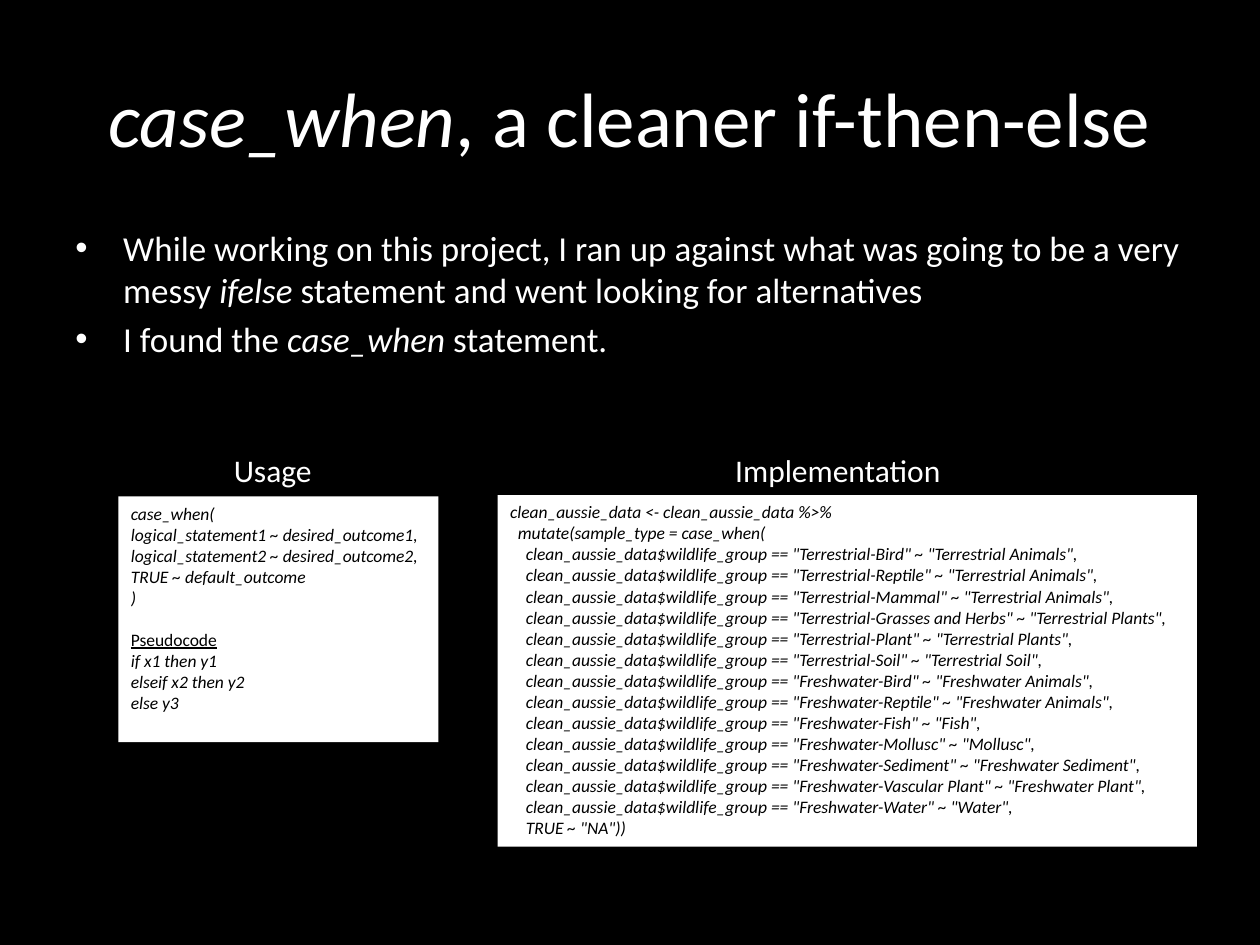
"""Build a slide introducing case_when as a cleaner if-then-else."""
from pptx import Presentation
from pptx.dml.color import RGBColor
from pptx.enum.shapes import MSO_SHAPE
from pptx.enum.text import MSO_ANCHOR, PP_ALIGN
from pptx.oxml.xmlchemy import OxmlElement
from pptx.util import Inches, Pt

BLACK = RGBColor(0, 0, 0)
WHITE = RGBColor(255, 255, 255)

PLAIN = {"name": "Calibri", "italic": False}
ITALIC = {"name": "Calibri", "italic": True}
UNDERLINED = {"name": "Calibri", "underline": True}

TITLE = [[("case_when", ITALIC), (", a cleaner if-then-else", PLAIN)]]
BULLETS = [
    [("While working on this project, I ran up against what was going to be a very messy ", PLAIN),
     ("ifelse", ITALIC),
     (" statement and went looking for alternatives", PLAIN)],
    [("I found the ", PLAIN), ("case_when", ITALIC), (" statement.", PLAIN)],
]
USAGE = [
    "case_when(",
    "logical_statement1 ~ desired_outcome1,",
    "logical_statement2 ~ desired_outcome2,",
    "TRUE ~ default_outcome",
    ")",
]
PSEUDOCODE = ["if x1 then y1", "elseif x2 then y2", "else y3"]
SAMPLE_TYPES = [
    ("Terrestrial-Bird", "Terrestrial Animals"),
    ("Terrestrial-Reptile", "Terrestrial Animals"),
    ("Terrestrial-Mammal", "Terrestrial Animals"),
    ("Terrestrial-Grasses and Herbs", "Terrestrial Plants"),
    ("Terrestrial-Plant", "Terrestrial Plants"),
    ("Terrestrial-Soil", "Terrestrial Soil"),
    ("Freshwater-Bird", "Freshwater Animals"),
    ("Freshwater-Reptile", "Freshwater Animals"),
    ("Freshwater-Fish", "Fish"),
    ("Freshwater-Mollusc", "Mollusc"),
    ("Freshwater-Sediment", "Freshwater Sediment"),
    ("Freshwater-Vascular Plant", "Freshwater Plant"),
    ("Freshwater-Water", "Water"),
]
IMPLEMENTATION = [
    "clean_aussie_data <- clean_aussie_data %>%",
    "  mutate(sample_type = case_when(",
    *(f'    clean_aussie_data$wildlife_group == "{group}" ~ "{kind}",'
      for group, kind in SAMPLE_TYPES),
    '    TRUE ~ "NA"))',
]
PANELS = [
    ("Usage", (1.75, 3.53, 0.83, 0.4), (0.94, 3.94, 2.54, 1.95),
     [[(line, ITALIC)] for line in USAGE]
     + [[("Pseudocode", UNDERLINED)]]
     + [[(line, ITALIC)] for line in PSEUDOCODE]),
    ("Implementation", (5.72, 3.53, 1.86, 0.4), (3.95, 3.93, 5.55, 2.79),
     [[(line, ITALIC)] for line in IMPLEMENTATION]),
]


def write(sp, paragraphs, size, color, align=PP_ALIGN.LEFT, anchor=MSO_ANCHOR.TOP, wrap=True):
    tf = sp.text_frame
    tf.word_wrap = wrap
    tf.vertical_anchor = anchor
    for i, runs in enumerate(paragraphs):
        p = tf.add_paragraph() if i else tf.paragraphs[0]
        p.alignment = align
        for text, fmt in runs:
            r = p.add_run()
            r.text = text
            for key, value in {**fmt, "size": Pt(size)}.items():
                setattr(r.font, key, value)
            r.font.color.rgb = color
    return tf


def add_text(s, box, *args, **kwargs):
    return write(s.shapes.add_textbox(*map(Inches, box)), *args, **kwargs)


def add_bullet(p):
    pPr = p._p.get_or_add_pPr()
    pPr.set("marL", str(Inches(0.38)))
    pPr.set("indent", str(Inches(-0.38)))
    for tag, key, value in (("a:buFont", "typeface", "Arial"), ("a:buChar", "char", "•")):
        el = OxmlElement(tag)
        el.set(key, value)
        pPr.append(el)


def add_code(s, box, lines):
    sp = s.shapes.add_shape(MSO_SHAPE.RECTANGLE, *map(Inches, box))
    sp.shadow.inherit = False
    sp.fill.solid()
    sp.fill.fore_color.rgb = WHITE
    sp.line.fill.background()
    tf = write(sp, lines, 10, BLACK)
    for p in tf.paragraphs:
        if p.text == "Pseudocode":
            p.space_before = Pt(12)


def main():
    prs = Presentation()
    prs.slide_width, prs.slide_height = Inches(10), Inches(7.5)
    s = prs.slides.add_slide(prs.slide_layouts[6])
    s.background.fill.solid()
    s.background.fill.fore_color.rgb = BLACK

    add_text(s, (0.5, 0.3, 9, 1.25), TITLE, 44, WHITE, PP_ALIGN.CENTER, MSO_ANCHOR.MIDDLE)
    tf = add_text(s, (0.5, 1.75, 9, 4.95), BULLETS, 20, WHITE)
    for i, p in enumerate(tf.paragraphs):
        add_bullet(p)
        if i:
            p.space_before = Pt(4)
    for label, label_box, code_box, lines in PANELS:
        add_code(s, code_box, lines)
        add_text(s, label_box, [[(label, PLAIN)]], 18, WHITE, PP_ALIGN.CENTER, wrap=False)

    prs.save("out.pptx")


if __name__ == "__main__":
    main()
